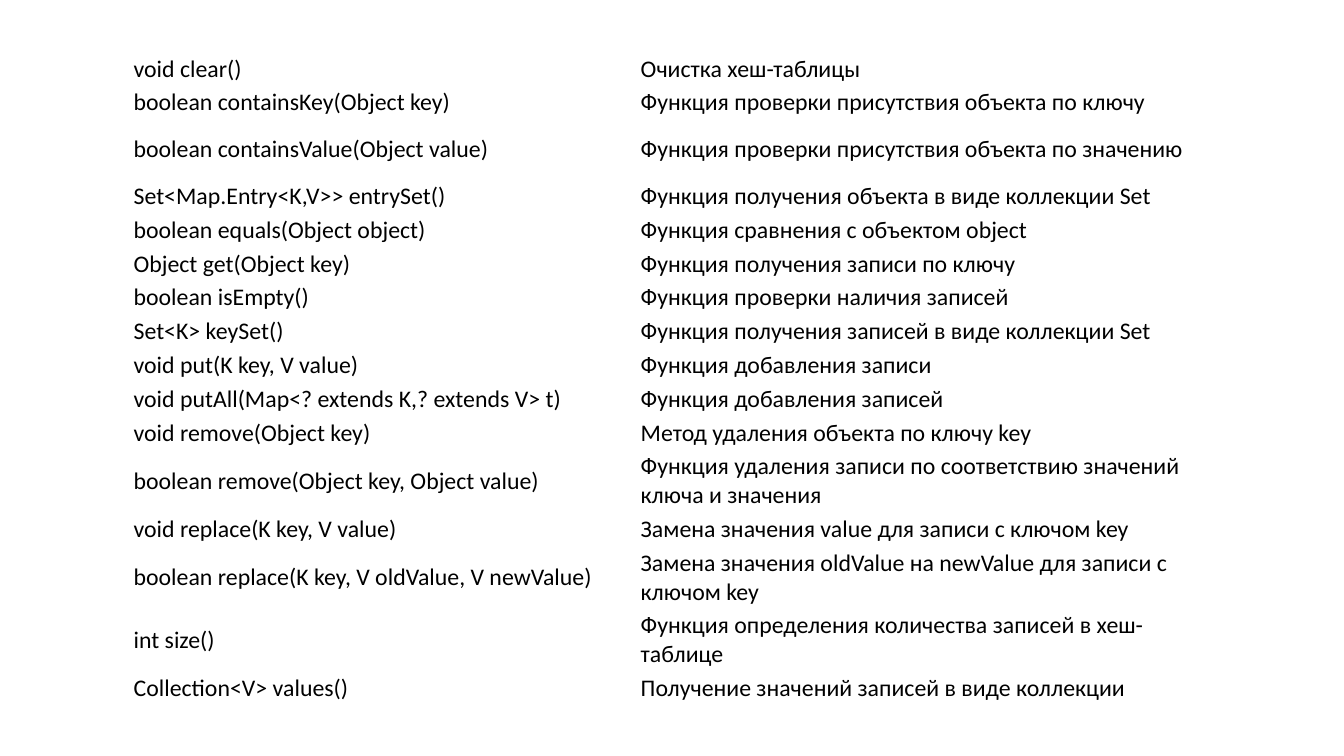
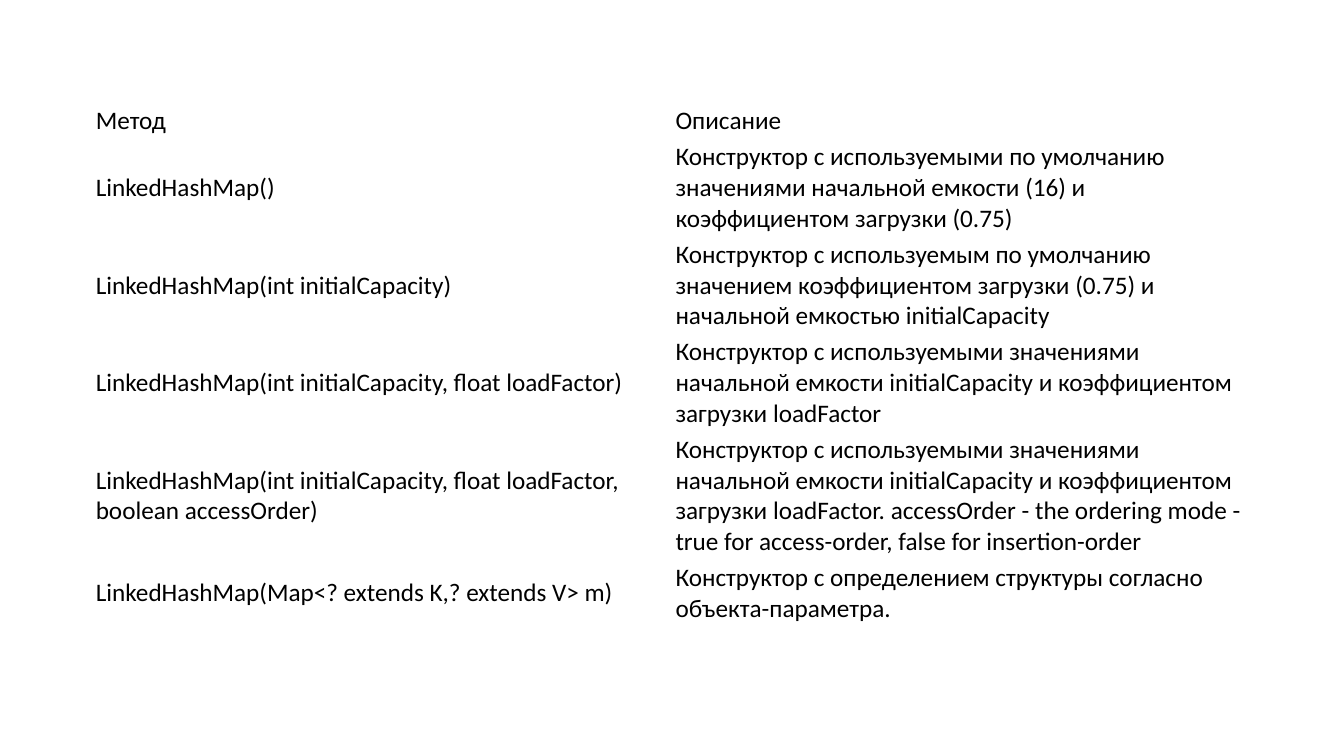
from pptx import Presentation
from pptx.dml.color import RGBColor
from pptx.enum.text import MSO_ANCHOR
from pptx.util import Inches, Pt

FONT = "Calibri"
BLACK = "000000"
LEADING = 1.21
INSET = 0.02

# Each row: method, description, row height in text lines
METHODS = [
    ("", "", 1),
    ("void clear()", "Очистка хеш-таблицы", 1),
    ("boolean containsKey(Object key)", "Функция проверки присутствия объекта по ключу", 1),
    ("boolean containsValue(Object value)", "Функция проверки присутствия объекта по значению", 1.9),
    ("Set<Map.Entry<K,V>> entrySet()", "Функция получения объекта в виде коллекции Set", 1),
    ("boolean equals(Object object)", "Функция сравнения с объектом object", 1),
    ("Object get(Object key)", "Функция получения записи по ключу", 1),
    ("boolean isEmpty()", "Функция проверки наличия записей", 1),
    ("Set<K> keySet()", "Функция получения записей в виде коллекции Set", 1),
    ("void put(K key, V value)", "Функция добавления записи", 1),
    ("void putAll(Map<? extends K,? extends V> t)", "Функция добавления записей", 1),
    ("void remove(Object key)", "Метод удаления объекта по ключу key", 1),
    ("boolean remove(Object key, Object value)",
     "Функция удаления записи по соответствию значений ключа и значения", 2),
    ("void replace(K key, V value)", "Замена значения value для записи с ключом key", 1),
    ("boolean replace(K key, V oldValue, V newValue)",
     "Замена значения oldValue на newValue для записи с ключом key", 2),
    ("int size()", "Функция определения количества записей в хеш-таблице", 2),
    ("Collection<V> values()", "Получение значений записей в виде коллекции", 1),
]

BUILDERS = [
    ("Метод", "Описание", 1),
    ("LinkedHashMap()",
     "Конструктор с используемыми по умолчанию значениями начальной емкости (16) "
     "и коэффициентом загрузки (0.75)", 3),
    ("LinkedHashMap(int initialCapacity)",
     "Конструктор с используемым по умолчанию значением коэффициентом загрузки (0.75) "
     "и начальной емкостью initialCapacity", 3),
    ("LinkedHashMap(int initialCapacity, float loadFactor)",
     "Конструктор с используемыми значениями начальной емкости initialCapacity "
     "и коэффициентом загрузки loadFactor", 3),
    ("LinkedHashMap(int initialCapacity, float loadFactor, boolean accessOrder)",
     "Конструктор с используемыми значениями начальной емкости initialCapacity "
     "и коэффициентом загрузки loadFactor. accessOrder - the ordering mode - "
     "true for access-order, false for insertion-order", 4),
    ("LinkedHashMap(Map<? extends K,? extends V> m)",
     "Конструктор с определением структуры согласно объекта-параметра.", 2),
]

SLIDES = [
    dict(rows=METHODS, left=1.3, top=0.18, cols=(5.03, 5.83), size=17, pad=0.05),
    dict(rows=BUILDERS, left=0.92, top=1.02, cols=(5.75, 5.75), size=18, pad=0.06),
]


def color(code):
    return RGBColor.from_string(code)


def write(cell, text, size=18, ink=BLACK, side=INSET):
    cell.fill.background()
    cell.vertical_anchor = MSO_ANCHOR.MIDDLE
    cell.margin_left = cell.margin_right = Inches(side)
    cell.margin_top = cell.margin_bottom = Inches(INSET)
    run = cell.text_frame.paragraphs[0].add_run()
    run.text = text
    run.font.name = FONT
    run.font.size = Pt(size)
    run.font.color.rgb = color(ink)


def add_grid(slide, rows, left, top, cols, size, pad):
    """Add a plain table whose row heights follow their line counts."""
    heights = [lines * size * LEADING / 72 + pad for *_, lines in rows]
    frame = slide.shapes.add_table(
        len(rows), len(cols), Inches(left), Inches(top),
        Inches(sum(cols)), Inches(sum(heights)))
    table = frame.table
    table.first_row = table.horz_banding = False
    for col, width in zip(table.columns, cols):
        col.width = Inches(width)
    for row, height, (*texts, _) in zip(table.rows, heights, rows):
        row.height = Inches(height)
        for cell, text in zip(row.cells, texts):
            write(cell, text, size=size, side=pad / 2)


def main():
    deck = Presentation()
    deck.slide_width = Inches(13.33)
    deck.slide_height = Inches(7.5)
    blank = deck.slide_layouts[6]
    for data in SLIDES:
        add_grid(deck.slides.add_slide(blank), **data)
    deck.save("out.pptx")


if __name__ == "__main__":
    main()
